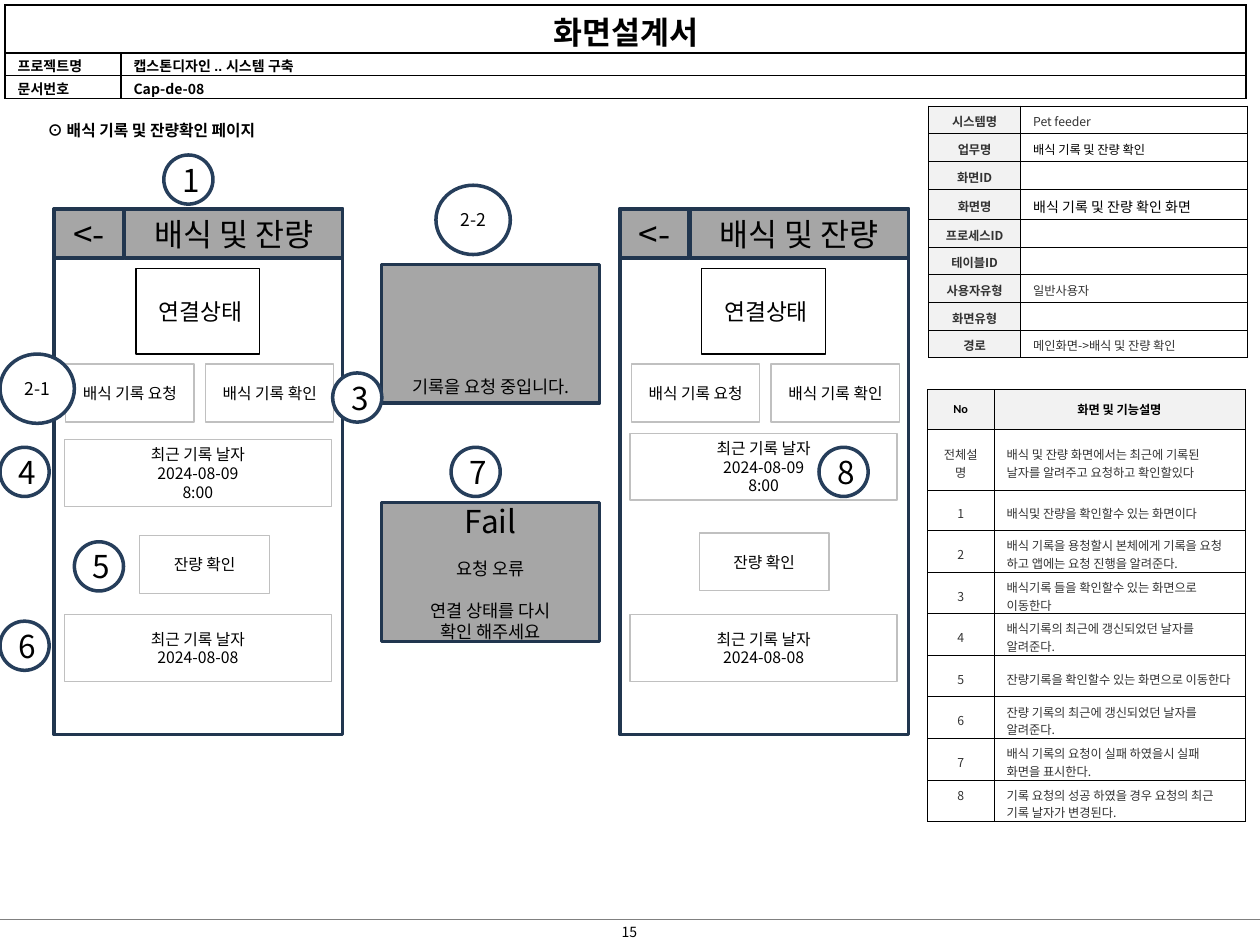
from dataclasses import dataclass

from lxml import etree
from pptx import Presentation
from pptx import util as u
from pptx.dml.color import RGBColor
from pptx.enum import shapes, text
from pptx.oxml.ns import qn


@dataclass(frozen=True)
class Theme:
    font: str = "Noto Sans CJK KR"
    latin: str = "Arial"
    head_latin: str = "Calibri"
    black: str = "000000"
    white: str = "FFFFFF"
    body: str = "333333"
    label_fill: str = "F2F2F2"
    panel: str = "A6A6A6"
    navy: str = "21364F"
    marker: str = "263E5B"
    box_line: str = "C0C0C0"
    rule: str = "808080"
    title: int = 18
    arrow: int = 20
    status: int = 13
    message: int = 10
    box: int = 9
    meta: int = 8
    small: int = 7
    leading: float = 1.2


T = Theme()
CENTER, LEFT = text.PP_ALIGN.CENTER, text.PP_ALIGN.LEFT
TOP, MIDDLE, BOTTOM = text.MSO_ANCHOR.TOP, text.MSO_ANCHOR.MIDDLE, text.MSO_ANCHOR.BOTTOM

DOC_TITLE = "화면설계서"
DOC_META = [("프로젝트명", "캡스톤디자인 .. 시스템 구축"), ("문서번호", "Cap-de-08")]
PAGE_HEADING = "⊙ 배식 기록 및 잔량확인 페이지"
PAGE_NUMBER = "15"
SCREEN_INFO = [
    ("시스템명", "Pet feeder"), ("업무명", "배식 기록 및 잔량 확인"), ("화면ID", ""),
    ("화면명", "배식 기록 및 잔량 확인 화면"), ("프로세스ID", ""), ("테이블ID", ""),
    ("사용자유형", "일반사용자"), ("화면유형", ""), ("경로", "메인화면->배식 및 잔량 확인"),
]
FEATURES = [
    ("No", "화면 및 기능설명"),
    ("전체설명", "배식 및 잔량 화면에서는 최근에 기록된 날자를 알려주고 요청하고 확인할있다"),
    ("1", "배식및 잔량을 확인할수 있는 화면이다"),
    ("2", "배식 기록을 용청할시 본체에게 기록을 요청 하고 앱에는 요청 진행을 알려준다."),
    ("3", "배식기록 들을 확인할수 있는 화면으로 이동한다"),
    ("4", "배식기록의 최근에 갱신되었던 날자를 알려준다."),
    ("5", "잔량기록을 확인할수 있는 화면으로 이동한다"),
    ("6", "잔량 기록의 최근에 갱신되었던 날자를 알려준다."),
    ("7", "배식 기록의 요청이 실패 하였을시 실패 화면을 표시한다."),
    ("8", "기록 요청의 성공 하였을 경우 요청의 최근 기록 날자가 변경된다."),
]
# left edge, top of the latest record, left and top of the remaining-amount button
PHONES = [(0.43, 3.49, 1.11, 4.25), (4.92, 3.44, 5.55, 4.23)]
LATEST_RECORD = ["최근 기록 날자", "2024-08-09", "8:00"]
LATEST_AMOUNT = ["최근 기록 날자", "2024-08-08"]
# text, size, space before
FAILURE = [("Fail", T.title, 0), ("요청 오류", T.message, 10.8),
           ("연결 상태를 다시", T.message, 12), ("확인 해주세요", T.message, 0)]
MARKERS = [("1", 1.3, 1.23), ("4", 0, 3.55), ("2-1", 0, 2.81), ("3", 2.64, 2.96),
           ("5", 0.59, 4.3), ("6", 0, 4.93), ("7", 3.58, 3.55), ("8", 6.5, 3.55),
           ("2-2", 3.46, 1.47)]

prs = Presentation()
prs.slide_width, prs.slide_height = u.Inches(10), u.Inches(7.5)
slide = prs.slides.add_slide(prs.slide_layouts[6])


def inches(*lengths):
    return [u.Inches(length) for length in lengths]


def rgb(color):
    return RGBColor.from_string(color)


def write(paragraph, words, size, color=T.black, bold=False, align=CENTER, latin=T.font):
    paragraph.alignment = align
    if not words:
        paragraph._p.get_or_add_endParaRPr().set("sz", str(size * 100))
        return
    run = paragraph.add_run()
    run.text = words
    run.font.size, run.font.bold, run.font.name = u.Pt(size), bold, latin
    run.font.color.rgb = rgb(color)
    etree.SubElement(run._r.get_or_add_rPr(), qn("a:ea"), typeface=T.font)


def set_insets(target, left, top, right, bottom):
    (target.margin_left, target.margin_top,
     target.margin_right, target.margin_bottom) = inches(left, top, right, bottom)


def add_box(at, lines=(), size=T.box, fill=T.white, line=T.box_line, weight=0.75,
            kind=shapes.MSO_SHAPE.RECTANGLE, anchor=MIDDLE, wrap=False,
            insets=(0.1, 0.05, 0.1, 0.05)):
    """Draw a filled shape; a line is a string or (text, size, space before)."""
    box = slide.shapes.add_shape(kind, *inches(*at))
    box.shadow.inherit = False
    box.fill.solid()
    box.fill.fore_color.rgb = rgb(fill)
    box.line.color.rgb, box.line.width = rgb(line), u.Pt(weight)
    frame = box.text_frame
    frame.word_wrap, frame.vertical_anchor = wrap, anchor
    set_insets(frame, *insets)
    for i, item in enumerate(lines):
        words, points, before = (item, size, 0) if isinstance(item, str) else item
        paragraph = frame.add_paragraph() if i else frame.paragraphs[0]
        paragraph.line_spacing = u.Pt(points * T.leading)
        paragraph.space_before = u.Pt(before)
        write(paragraph, words, points)


def add_label(at, words, size, bold=False):
    label = slide.shapes.add_textbox(*inches(*at))
    label.text_frame.word_wrap = False
    write(label.text_frame.paragraphs[0], words, size, bold=bold)


def add_grid(left, top, widths, heights):
    frame = slide.shapes.add_table(len(heights), len(widths),
                                   *inches(left, top, sum(widths), sum(heights)))
    table = frame.table
    table.first_row = table.horz_banding = False
    for column, width in zip(table.columns, widths):
        column.width = u.Inches(width)
    for row, height in zip(table.rows, heights):
        row.height = u.Inches(height)
    return table


def fill_cell(cell, words, size, border, fill=T.white, anchor=MIDDLE,
              insets=(0.1, 0.05, 0.1, 0), **style):
    properties = cell._tc.get_or_add_tcPr()
    for side in ("lnL", "lnR", "lnT", "lnB"):
        edge = etree.SubElement(properties, qn("a:" + side), w=str(u.Pt(border)))
        solid = etree.SubElement(edge, qn("a:solidFill"))
        etree.SubElement(solid, qn("a:srgbClr"), val=T.black)
    cell.fill.solid()
    cell.fill.fore_color.rgb = rgb(fill)
    cell.vertical_anchor = anchor
    set_insets(cell, *insets)
    write(cell.text_frame.paragraphs[0], words, size, **style)


def add_document_header():
    table = add_grid(0.04, 0.04, [0.92, 8.93], [0.38, 0.18, 0.18])
    common = dict(border=1, anchor=TOP, insets=(0.1, 0.02, 0.1, 0), bold=True)
    table.cell(0, 0).merge(table.cell(0, 1))
    fill_cell(table.cell(0, 0), DOC_TITLE, T.title, **common)
    fill_cell(table.cell(0, 1), "", T.title, **common)
    for r, row in enumerate(DOC_META, 1):
        for c, words in enumerate(row):
            latin = T.font if words.isascii() else T.latin
            fill_cell(table.cell(r, c), words, T.meta, align=LEFT, latin=latin, **common)


def add_screen_info():
    heights = [0.24 if name == "화면명" else 0.22 for name, _ in SCREEN_INFO]
    table = add_grid(7.37, 0.84, [0.73, 1.8], heights)
    common = dict(border=0.25, insets=(0.1, 0.05, 0.1, 0.02))
    for r, (name, value) in enumerate(SCREEN_INFO):
        fill_cell(table.cell(r, 0), name, T.small, fill=T.label_fill, color=T.body,
                  bold=True, **common)
        fill_cell(table.cell(r, 1), value, T.meta if name == "화면명" else T.small,
                  color=T.black if name in ("업무명", "화면명") else T.body,
                  align=LEFT, **common)


def add_features():
    table = add_grid(7.36, 3.09, [0.53, 1.99], [0.32, 0.48, 0.32] + [0.33] * 7)
    last = len(FEATURES) - 1
    for r, row in enumerate(FEATURES):
        for c, words in enumerate(row):
            if r == 0:
                style = dict(fill=T.label_fill, bold=True, insets=(0.1, 0.05, 0.1, 0.05),
                             latin=T.latin if c else T.head_latin)
            else:
                style = dict(color=T.body, align=LEFT if c else CENTER,
                             anchor=TOP if r == last else MIDDLE)
            fill_cell(table.cell(r, c), words, T.small, border=0.25, **style)


def add_phone(left, record_top, amount_left, amount_top):
    frame = dict(line=T.navy, weight=2)
    add_box((left, 1.66, 2.29, 4.17), **frame)
    add_box((left + 0.56, 1.66, 1.73, 0.39), ["배식 및 잔량"], T.title, T.panel, **frame)
    add_box((left, 1.66, 0.55, 0.39), ["<-"], T.arrow, T.panel, **frame)
    add_box((left + 0.65, 2.13, 0.98, 0.68), ["연결상태"], T.status, line=T.black,
            insets=(0.08, 0.05, 0.04, 0.05))
    for dx, words in ((0.09, "배식 기록 요청"), (1.2, "배식 기록 확인")):
        add_box((left + dx, 2.89, 1.02, 0.46), [words])
    add_box((left + 0.08, record_top, 2.12, 0.53), LATEST_RECORD)
    add_box((amount_left, amount_top, 1.03, 0.46), ["잔량 확인"])
    add_box((left + 0.08, 4.88, 2.12, 0.53), LATEST_AMOUNT)


def add_marker(number, left, top):
    single = len(number) == 1
    size = (0.39, 0.39) if single else (0.59, 0.55)
    add_box((left, top, *size), [number], T.title if single else T.message,
            line=T.marker, weight=2, kind=shapes.MSO_SHAPE.OVAL,
            insets=(0.04 if single else 0, 0, 0, 0))


footer = slide.shapes.add_connector(shapes.MSO_CONNECTOR.STRAIGHT, *inches(0, 7.3, 10, 7.3))
footer.line.color.rgb, footer.line.width = rgb(T.rule), u.Pt(0.75)
etree.SubElement(footer._element.spPr, qn("a:effectLst"))
add_label((4.72, 7.28, 0.55, 0.24), PAGE_NUMBER, T.meta)
add_document_header()
add_label((0.17, 0.91, 2.06, 0.25), PAGE_HEADING, T.box, bold=True)
add_features()
add_screen_info()
for phone in PHONES:
    add_phone(*phone)
popup = dict(size=T.message, fill=T.panel, line=T.navy, weight=2, wrap=True)
add_box((3.03, 2.1, 1.73, 1.1), ["기록을 요청 중입니다."], anchor=BOTTOM, **popup)
add_box((3.03, 3.99, 1.73, 1.1), FAILURE, **popup)
for marker in MARKERS:
    add_marker(*marker)

prs.save("out.pptx")
